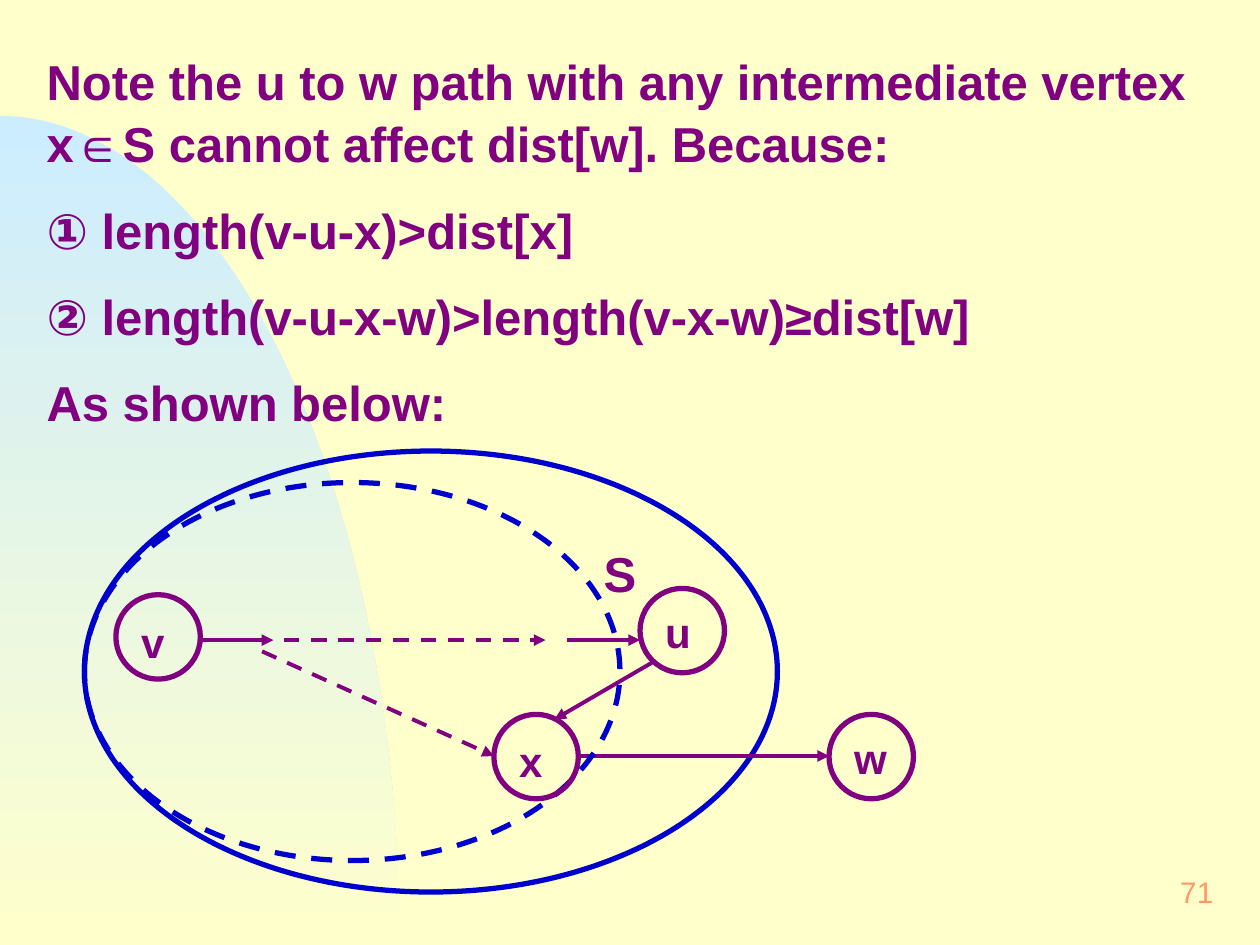
from dataclasses import dataclass
from math import cos, pi, sin

from lxml.etree import SubElement
from pptx import Presentation
from pptx.dml.color import RGBColor
from pptx.enum.dml import MSO_LINE
from pptx.enum.shapes import MSO_CONNECTOR, MSO_SHAPE
from pptx.enum.text import MSO_ANCHOR, PP_ALIGN
from pptx.oxml.ns import qn
from pptx.util import Inches, Pt


@dataclass(frozen=True)
class Theme:
    """Hold the colours, type sizes and line widths of the slide."""
    font: str = "Arial"
    ink: str = "800080"
    ring: str = "0000CC"
    page: str = "FFFFCC"
    sky: str = "CCECFF"
    number: str = "FF9966"
    body: int = 28
    label: int = 24
    small: int = 17
    outline: float = 3
    arrow: float = 2.25


THEME = Theme()
NODE = 0.67
NOTES = (
    "Note the u to w path with any intermediate vertex x∈S cannot affect dist[w]. Because:",
    "① length(v-u-x)>dist[x]",
    "② length(v-u-x-w)>length(v-x-w)≥dist[w]",
    "As shown below:",
)


def color(code):
    """Turn a hex code into a colour."""
    return RGBColor.from_string(code)


def add_arc(slide):
    """Draw the shaded quarter ellipse at the left edge."""
    wide, high, base, steps = 3.17, 6.58, 7.5, 90
    angles = [pi / 2 * i / steps for i in range(steps + 1)]
    points = [(Inches(wide * sin(a)), Inches(base - high * cos(a))) for a in angles]
    form = slide.shapes.build_freeform(*points[0])
    form.add_line_segments(points[1:] + [(0, Inches(base))], close=True)
    arc = form.convert_to_shape()
    arc.shadow.inherit = False
    arc.line.fill.background()
    arc.fill.gradient()
    arc.fill.gradient_angle = 270
    for stop, code, place in zip(arc.fill.gradient_stops, (THEME.sky, THEME.page), (0, 1)):
        stop.color.rgb = color(code)
        stop.position = place


def add_text(slide, lines, left, top, width, height, size, code=THEME.ink, bold=True):
    """Add a text box with one paragraph for each line."""
    box = slide.shapes.add_textbox(Inches(left), Inches(top), Inches(width), Inches(height))
    frame = box.text_frame
    frame.word_wrap = True
    frame.margin_left = frame.margin_right = Inches(0.12)
    frame.margin_top = frame.margin_bottom = Inches(0.06)
    frame.text = "\n".join(lines)
    for i, para in enumerate(frame.paragraphs):
        para.space_before = Pt(14 if i else 0)
        for run in para.runs:
            font = run.font
            font.name, font.size, font.bold = THEME.font, Pt(size), bold
            font.color.rgb = color(code)
    return frame


def add_ring(slide, left, top, width, height, code, dashed=False):
    """Add an unfilled ellipse."""
    ring = slide.shapes.add_shape(
        MSO_SHAPE.OVAL, Inches(left), Inches(top), Inches(width), Inches(height))
    ring.shadow.inherit = False
    ring.fill.background()
    ring.line.color.rgb = color(code)
    ring.line.width = Pt(THEME.outline)
    if dashed:
        ring.line.dash_style = MSO_LINE.DASH


def add_node(slide, name, left, top, drop):
    """Add a round vertex and its letter, set lower by the drop."""
    add_ring(slide, left, top, NODE, NODE, THEME.ink)
    add_text(slide, [name], left + 0.08, top + drop, 0.5, 0.52, THEME.label)


def add_arrow(slide, start, end, dashed=False):
    """Add a straight arrow between two points."""
    arrow = slide.shapes.add_connector(
        MSO_CONNECTOR.STRAIGHT, *map(Inches, start + end))
    arrow.line.color.rgb = color(THEME.ink)
    arrow.line.width = Pt(THEME.arrow)
    if dashed:
        arrow.line.dash_style = MSO_LINE.DASH
    SubElement(arrow.line._get_or_add_ln(), qn("a:tailEnd"), type="triangle")
    SubElement(arrow._element.spPr, qn("a:effectLst"))


def add_graph(slide):
    """Draw the set S, the vertices and the paths between them."""
    add_node(slide, "v", 0.92, 4.72, 0.11)
    add_node(slide, "u", 5.08, 4.67, 0.08)
    add_node(slide, "w", 6.58, 5.67, 0.08)
    add_ring(slide, 0.67, 3.58, 5.5, 3.5, THEME.ring)
    add_text(slide, ["S"], 4.67, 4.25, 0.5, 0.59, THEME.body)
    add_arrow(slide, (1.58, 5.08), (2.17, 5.08))
    add_arrow(slide, (4.5, 5.08), (5.08, 5.08))
    add_arrow(slide, (4.58, 6), (6.58, 6))
    add_arrow(slide, (2.25, 5.08), (4.33, 5.08), dashed=True)
    add_ring(slide, 0.67, 3.83, 4.25, 3, THEME.ring, dashed=True)
    add_node(slide, "x", 3.92, 5.67, 0.11)
    add_arrow(slide, (5.19, 5.25), (4.4, 5.71))
    add_arrow(slide, (2.08, 5.17), (3.92, 6), dashed=True)


def main():
    """Build and save the slide."""
    deck = Presentation()
    deck.slide_width, deck.slide_height = Inches(10), Inches(7.5)
    slide = deck.slides.add_slide(deck.slide_layouts[6])
    slide.background.fill.solid()
    slide.background.fill.fore_color.rgb = color(THEME.page)
    add_arc(slide)
    number = add_text(slide, ["71"], 7.67, 6.83, 2.08, 0.5, THEME.small, THEME.number, False)
    number.vertical_anchor = MSO_ANCHOR.MIDDLE
    number.paragraphs[0].alignment = PP_ALIGN.RIGHT
    notes = add_text(slide, NOTES, 0.25, 0.33, 9.58, 3.04, THEME.body)
    for para in notes.paragraphs:
        para.line_spacing = 1.05
    add_graph(slide)
    deck.save("out.pptx")


if __name__ == "__main__":
    main()
